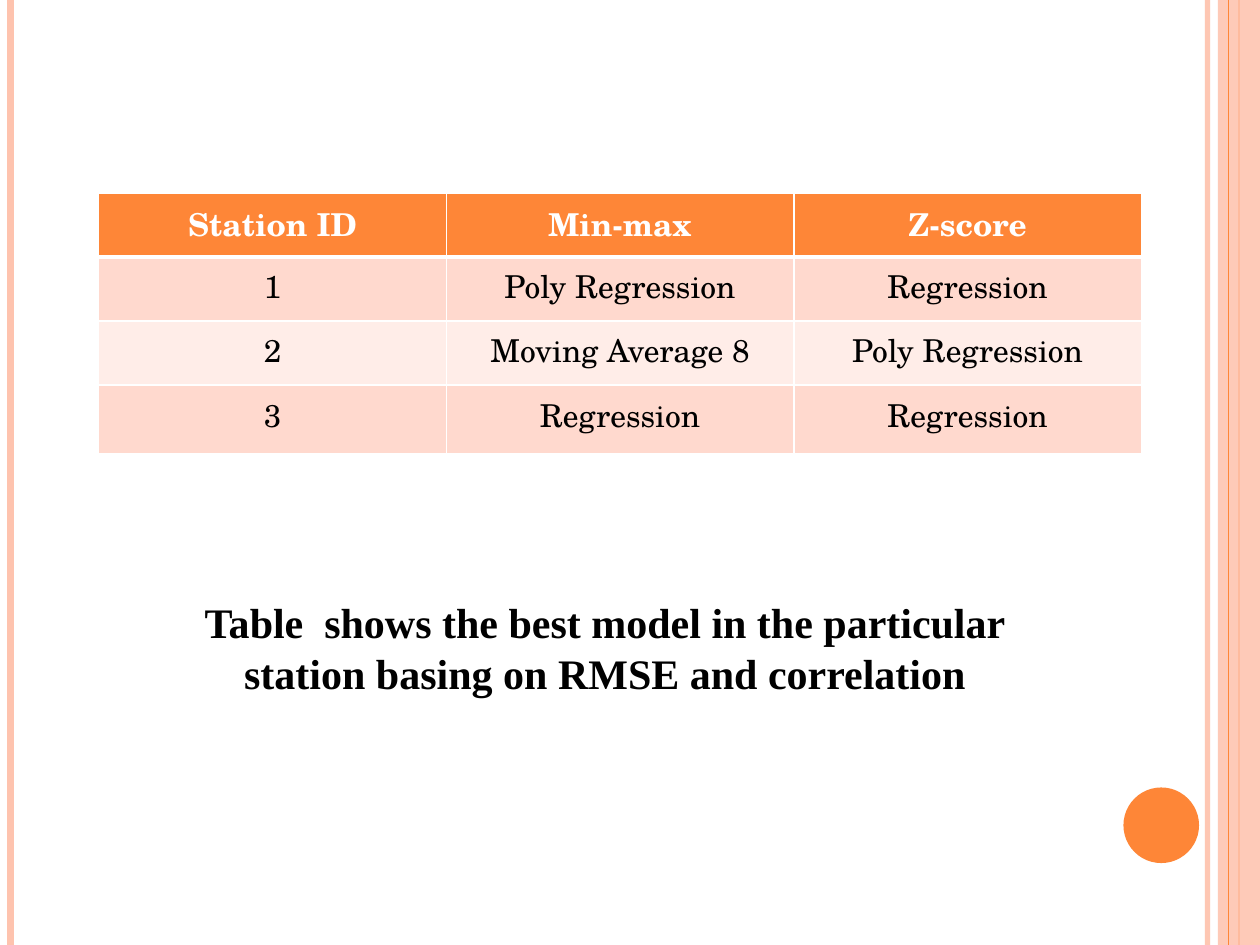
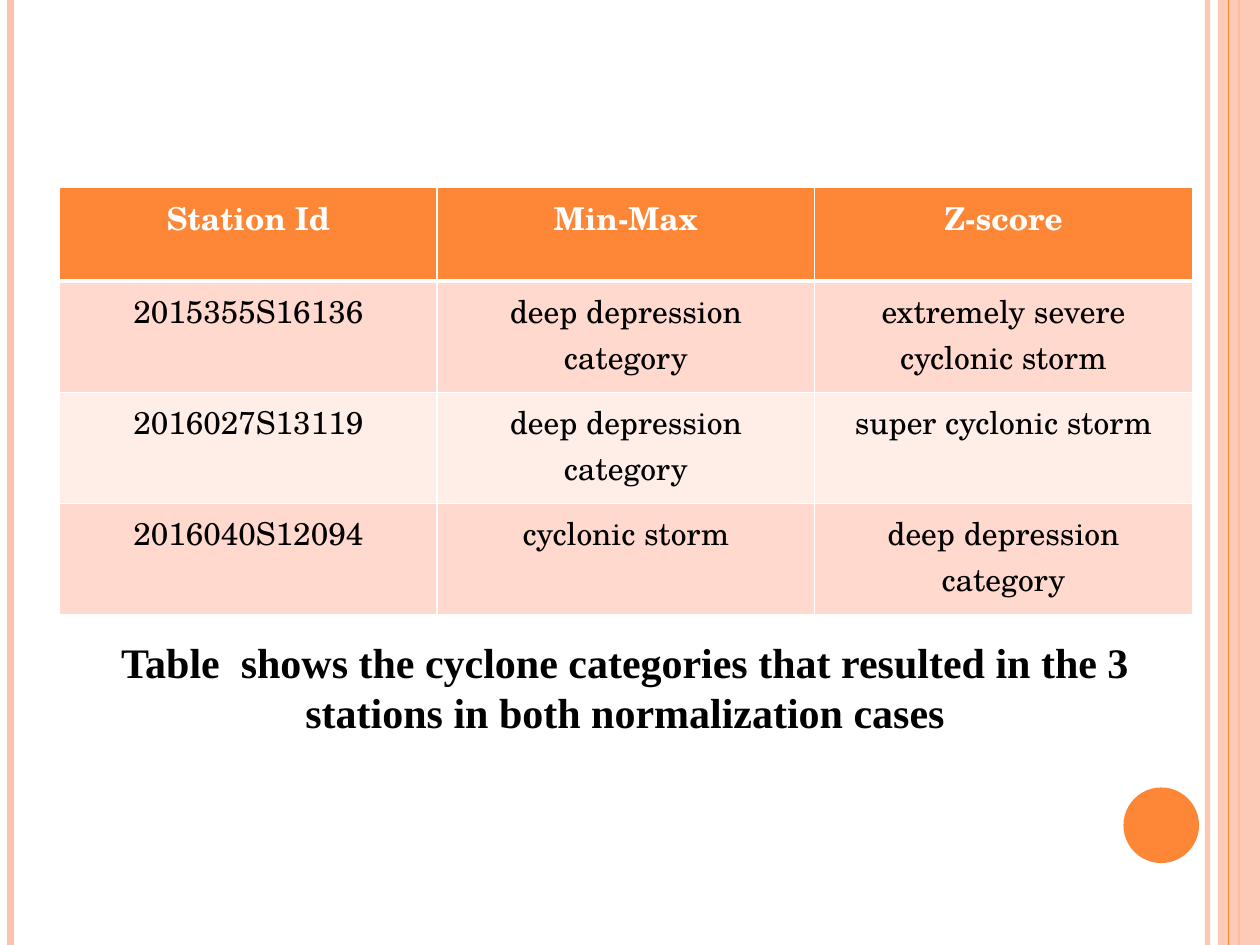
from lxml.etree import SubElement
from pptx import Presentation
from pptx.dml.color import RGBColor
from pptx.enum.shapes import MSO_CONNECTOR, MSO_SHAPE
from pptx.enum.text import MSO_AUTO_SIZE, PP_ALIGN
from pptx.oxml.ns import qn
from pptx.util import Pt

WIDTH, HEIGHT = 720, 540
ORANGE = RGBColor(0xFE, 0x86, 0x37)
PEACH = RGBColor(0xFE, 0xC3, 0xAE)
BAND_DARK = RGBColor(0xFF, 0xD9, 0xCE)
BAND_LIGHT = RGBColor(0xFF, 0xED, 0xE8)
WHITE = RGBColor(0xFF, 0xFF, 0xFF)
BLACK = RGBColor(0, 0, 0)
TABLE_FONT = "TeX Gyre Schola"
CAPTION_FONT = "Times New Roman"


def set_opacity(fill_parent, percent):
    color = fill_parent.find(qn("a:solidFill"))[0]
    SubElement(color, qn("a:alpha"), val=str(percent * 1000))


def add_stripe(slide, x, color, weight, opacity=100):
    stripe = slide.shapes.add_connector(
        MSO_CONNECTOR.STRAIGHT, Pt(x), 0, Pt(x), Pt(HEIGHT))
    stripe.line.color.rgb = color
    stripe.line.width = Pt(weight)
    properties = stripe._element.spPr
    SubElement(properties, qn("a:effectLst"))
    if opacity < 100:
        set_opacity(properties.find(qn("a:ln")), opacity)


def add_solid(slide, kind, left, top, width, height, color):
    shape = slide.shapes.add_shape(kind, Pt(left), Pt(top), Pt(width), Pt(height))
    shape.shadow.inherit = False
    shape.fill.solid()
    shape.fill.fore_color.rgb = color
    shape.line.fill.background()
    return shape


def add_frame(slide):
    add_stripe(slide, 690, PEACH, 3, 93)
    add_stripe(slide, 6, PEACH, 4.5)
    add_stripe(slide, 708, ORANGE, 1.5)
    band = add_solid(slide, MSO_SHAPE.RECTANGLE, 696, 0, 24, HEIGHT, PEACH)
    set_opacity(band._element.spPr, 87)
    add_stripe(slide, 702, ORANGE, 0.75)
    add_solid(slide, MSO_SHAPE.OVAL, 642, 450, 43.2, 43.2, ORANGE)


def format_paragraph(paragraph, font_name, size, color, bold):
    paragraph.alignment = PP_ALIGN.CENTER
    for run in paragraph.runs:
        run.font.name = font_name
        run.font.size = Pt(size)
        run.font.color.rgb = color
        run.font.bold = bold


def set_borders(cell, top, bottom):
    properties = cell._tc.get_or_add_tcPr()
    for side, weight in (("L", 1), ("R", 1), ("T", top), ("B", bottom)):
        line = SubElement(properties, qn(f"a:ln{side}"), w=str(Pt(weight)))
        fill = SubElement(line, qn("a:solidFill"))
        SubElement(fill, qn("a:srgbClr"), val=str(WHITE))


def add_station_table(slide, left, top, column_width, row_heights, rows):
    table = slide.shapes.add_table(
        len(rows), len(rows[0]), Pt(left), Pt(top),
        Pt(column_width * len(rows[0])), Pt(sum(row_heights))).table
    for column in table.columns:
        column.width = Pt(column_width)
    for index, (values, height) in enumerate(zip(rows, row_heights)):
        table.rows[index].height = Pt(height)
        header = index == 0
        band = ORANGE if header else BAND_DARK if index % 2 else BAND_LIGHT
        for cell, value in zip(table.rows[index].cells, values):
            set_borders(cell, 3 if index == 1 else 1, 3 if header else 1)
            cell.fill.solid()
            cell.fill.fore_color.rgb = band
            cell.text_frame.text = value
            format_paragraph(cell.text_frame.paragraphs[0], TABLE_FONT, 18,
                             WHITE if header else BLACK, header)


def add_caption(slide, left, top, width, text):
    text_frame = slide.shapes.add_textbox(
        Pt(left), Pt(top), Pt(width), Pt(65.5)).text_frame
    text_frame.word_wrap = True
    text_frame.auto_size = MSO_AUTO_SIZE.SHAPE_TO_FIT_TEXT
    text_frame.text = text
    format_paragraph(text_frame.paragraphs[0], CAPTION_FONT, 24, BLACK, True)


def add_slide(presentation):
    slide = presentation.slides.add_slide(presentation.slide_layouts[6])
    add_frame(slide)
    return slide


def main():
    presentation = Presentation()
    presentation.slide_width, presentation.slide_height = Pt(WIDTH), Pt(HEIGHT)

    slide = add_slide(presentation)
    add_station_table(slide, 56.4, 110.2, 198.6, [36.6, 36.6, 36.6, 39.2], [
        ("Station ID", "Min-max", "Z-score"),
        ("1", "Poly Regression", "Regression"),
        ("2", "Moving Average 8", "Poly Regression"),
        ("3", "Regression", "Regression"),
    ])
    add_caption(slide, 106.6, 337.5, 478,
                "Table  shows the best model in the particular station "
                "basing on RMSE and correlation")

    slide = add_slide(presentation)
    add_station_table(slide, 34, 106.9, 215.8, [53.8, 63.5, 63.5, 63.5], [
        ("Station Id", "Min-Max", "Z-score"),
        ("2015355S16136", "deep depression category",
         "extremely severe cyclonic storm"),
        ("2016027S13119", "deep depression category", "super cyclonic storm"),
        ("2016040S12094", "cyclonic storm", "deep depression category"),
    ])
    add_caption(slide, 39.4, 360, 635.5,
                "Table  shows the cyclone categories that resulted in the 3 "
                "stations in both normalization cases")

    presentation.save("out.pptx")


if __name__ == "__main__":
    main()
